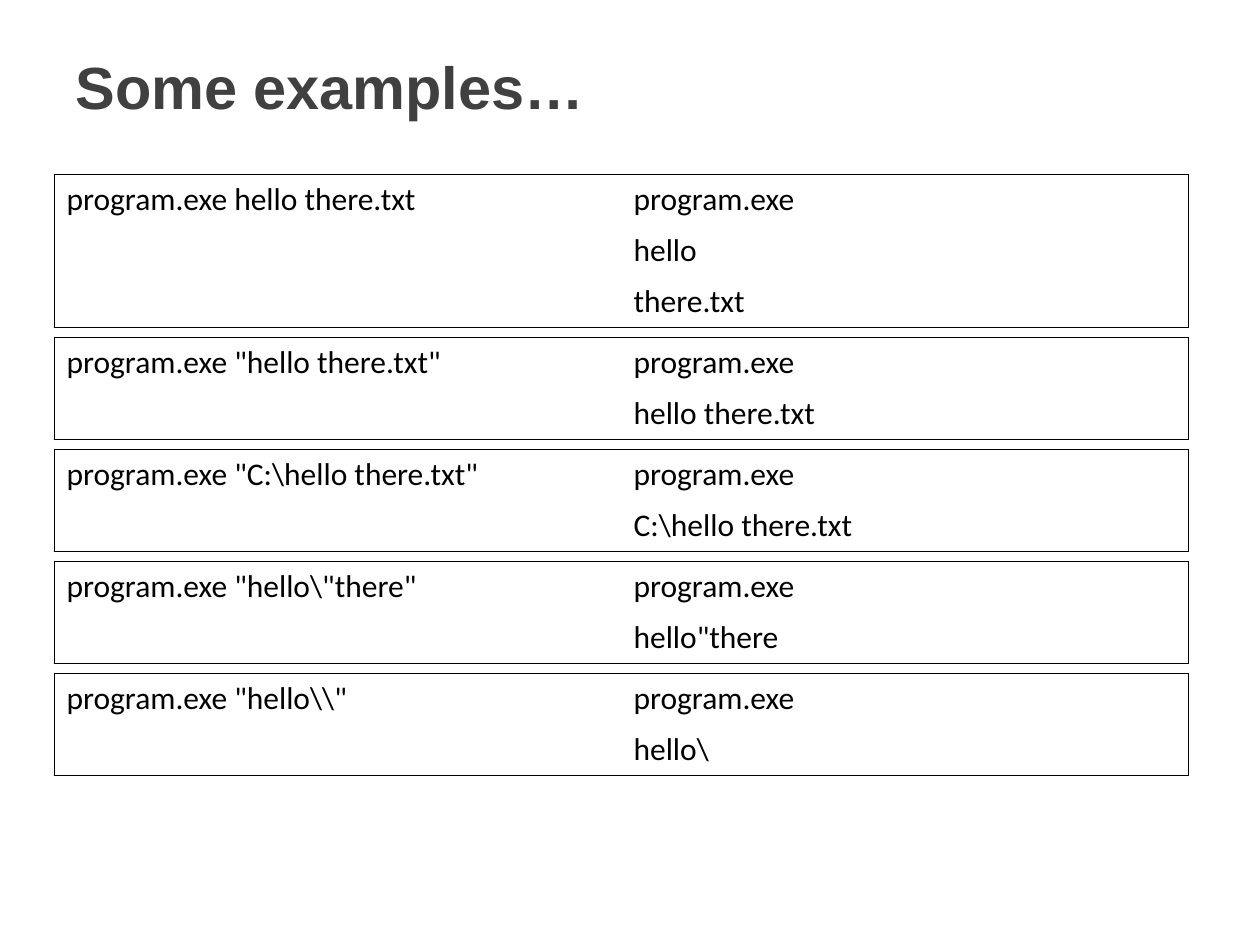
from lxml import etree
from pptx import Presentation
from pptx.dml.color import RGBColor
from pptx.enum import text
from pptx.oxml import ns
from pptx.util import Emu, Pt

COLORS = {"title": "404040", "text": "000000", "border": "000000"}
ROW_HEIGHT, GAP = 51, 10
BORDER_WIDTH = Pt(0.45)

# Command line and the arguments it is split into
EXAMPLES = [
    ('program.exe hello there.txt', ["program.exe", "hello", "there.txt"]),
    ('program.exe "hello there.txt"', ["program.exe", "hello there.txt"]),
    ('program.exe "C:\\hello there.txt"', ["program.exe", "C:\\hello there.txt"]),
    ('program.exe "hello\\"there"', ["program.exe", 'hello"there']),
    ('program.exe "hello\\\\"', ["program.exe", "hello\\"]),
]


def px(length):
    return Emu(round(length * 914400 / 126))


def format_font(font, color, **values):
    for name, value in values.items():
        setattr(font, name, value)
    font.color.rgb = RGBColor.from_string(COLORS[color])


def set_borders(cell, visible):
    properties = cell._tc.get_or_add_tcPr()
    for side in "LRTB":
        line = etree.SubElement(properties, ns.qn(f"a:ln{side}"), w=str(BORDER_WIDTH))
        if visible[side]:
            fill = etree.SubElement(line, ns.qn("a:solidFill"))
            etree.SubElement(fill, ns.qn("a:srgbClr"), val=COLORS["border"])
        else:
            etree.SubElement(line, ns.qn("a:noFill"))


def add_title(slide, wording, left, top, width, height):
    title = slide.shapes.title
    box = {"left": left, "top": top, "width": width, "height": height}
    for name, length in box.items():
        setattr(title, name, px(length))
    frame = title.text_frame
    frame.text = wording
    frame.vertical_anchor = text.MSO_ANCHOR.TOP
    frame.margin_top = px(12)
    heading = frame.paragraphs[0]
    heading.alignment = text.PP_ALIGN.LEFT
    format_font(heading.runs[0].font, "title", name="Arial", size=Pt(34), bold=True)


def add_example(slide, command, arguments, left, top, width):
    """Draw one framed example and return its height."""
    height = len(arguments) * ROW_HEIGHT
    table = slide.shapes.add_table(
        len(arguments), 2, px(left), px(top), px(width), px(height)).table
    table.first_row = table.horz_banding = False

    last = len(arguments) - 1
    for row, argument in enumerate(arguments):
        for column, wording in enumerate((command if row == 0 else "", argument)):
            cell = table.cell(row, column)
            # Only the outer frame is drawn
            set_borders(cell, {"L": column == 0, "R": column == 1,
                               "T": row == 0, "B": row == last})
            cell.fill.background()
            if wording:
                cell.text = wording
                format_font(cell.text_frame.paragraphs[0].runs[0].font, "text",
                            name="Calibri", size=Pt(18))
    return height


def main():
    deck = Presentation()
    deck.slide_width, deck.slide_height = px(1260), px(945)
    slide = deck.slides.add_slide(deck.slide_layouts[5])

    add_title(slide, "Some examples…", 63, 38, 1134, 157)

    # Stack of examples
    top = 174
    for command, arguments in EXAMPLES:
        top += add_example(slide, command, arguments, 54, top, 1134) + GAP

    deck.save("out.pptx")


if __name__ == "__main__":
    main()
